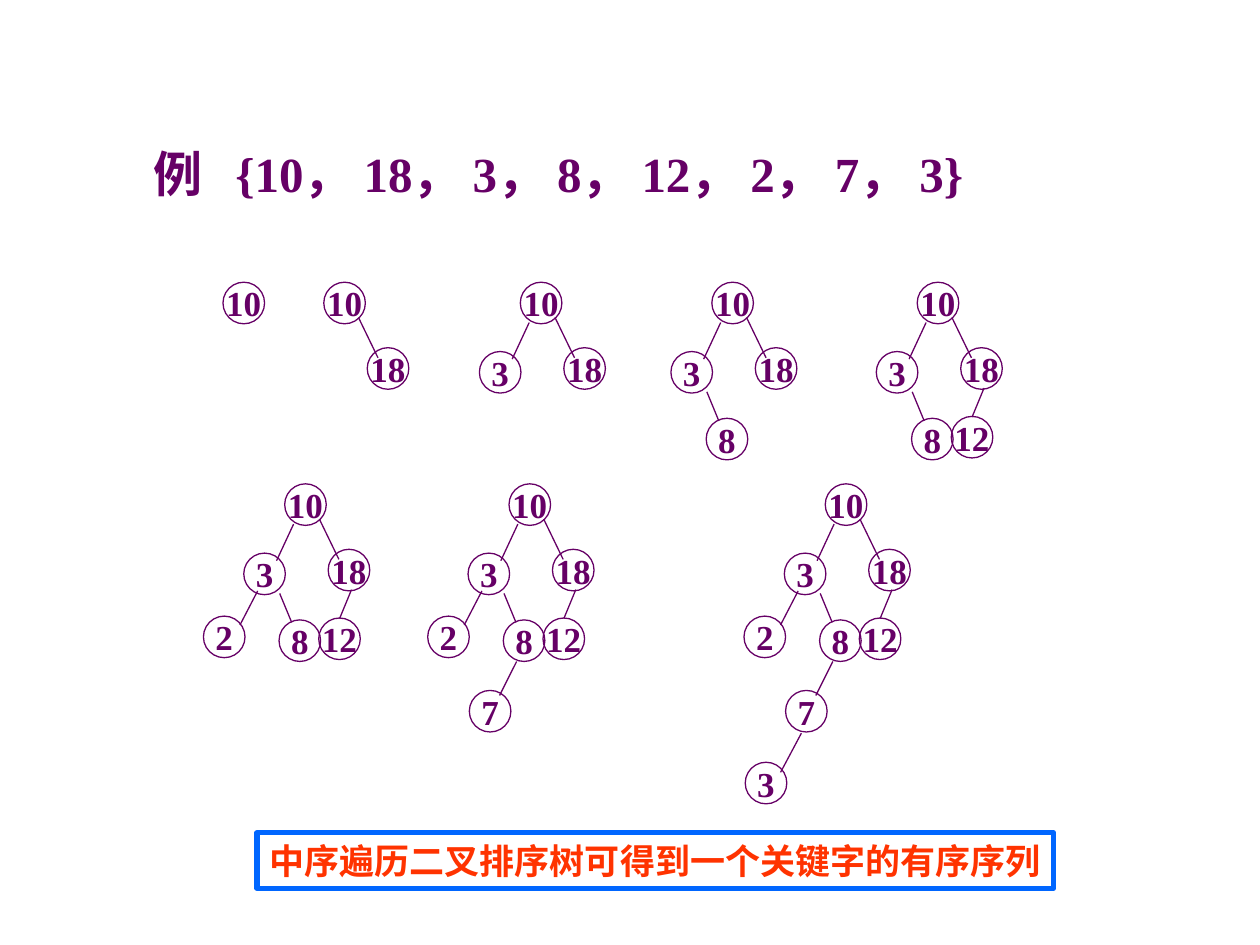
from dataclasses import dataclass

from lxml import etree
from pptx import Presentation
from pptx.dml.color import RGBColor
from pptx.enum.shapes import MSO_CONNECTOR, MSO_SHAPE
from pptx.enum.text import MSO_ANCHOR, MSO_AUTO_SIZE, PP_ALIGN
from pptx.oxml.ns import qn
from pptx.util import Emu, Inches, Pt

ELLIPSE = MSO_SHAPE.OVAL
RECTANGLE = MSO_SHAPE.RECTANGLE
STRAIGHT = MSO_CONNECTOR.STRAIGHT
MIDDLE = MSO_ANCHOR.MIDDLE
FIT_TEXT = MSO_AUTO_SIZE.SHAPE_TO_FIT_TEXT
LEFT, CENTER = PP_ALIGN.LEFT, PP_ALIGN.CENTER

FONT = "Times New Roman"
COLORS = {"purple": "660066", "blue": "0066FF", "red": "FF3300"}
WIDTH, HEIGHT = Inches(10), Inches(7.5)
COLUMNS = 100
CELL = WIDTH / COLUMNS
NODE_SIZE = 3.3


@dataclass(frozen=True)
class Point:
    column: float
    row: float

    def shifted(self, origin: "Point") -> "Point":
        return Point(self.column + origin.column, self.row + origin.row)


@dataclass(frozen=True)
class Edge:
    start: Point
    end: Point


@dataclass(frozen=True)
class Node:
    key: str
    offset: Point
    edge: Edge | None = None


INSERTIONS = [
    Node("10", Point(0, 0)),
    Node("18", Point(3.45, 5.2), Edge(Point(2.75, 2.8), Point(4.3, 6))),
    Node("3", Point(-3.25, 5.5), Edge(Point(0.7, 3.2), Point(-0.65, 6.1))),
    Node("8", Point(-0.45, 10.8), Edge(Point(-0.4, 8.7), Point(0.55, 11))),
    Node("12", Point(2.7, 10.65), Edge(Point(5.3, 8.4), Point(4.35, 10.7))),
    Node("2", Point(-6.45, 10.5), Edge(Point(-2.15, 8.5), Point(-3.55, 11.2))),
    Node("7", Point(-3.15, 16.4), Edge(Point(0.6, 14.1), Point(-0.75, 16.8))),
    Node("3", Point(-6.35, 22.1), Edge(Point(-1.9, 19.8), Point(-3.55, 22.9))),
]
TOP_ROW, BOTTOM_ROW = 22.4, 38.4
ROOTS = [
    *(Point(column, TOP_ROW) for column in (17.7, 25.7, 41.3, 56.5, 72.8)),
    *(Point(column, BOTTOM_ROW) for column in (22.6, 40.4, 65.5)),
]


def grid(cells: float) -> Emu:
    return Emu(round(cells * CELL))


def color(name: str) -> RGBColor:
    return RGBColor.from_string(COLORS[name])


def write_text(shape, text: str, size: int, color_name: str, alignment,
               tab: float | None = None) -> None:
    frame = shape.text_frame
    frame.text = text
    frame.word_wrap = False
    frame.vertical_anchor = MIDDLE
    paragraph = frame.paragraphs[0]
    paragraph.alignment = alignment
    if tab is not None:
        tab_list = etree.SubElement(paragraph._p.get_or_add_pPr(), qn("a:tabLst"))
        etree.SubElement(tab_list, qn("a:tab"), pos=str(grid(tab)), algn="l")
    for run in paragraph.runs:
        run.font.name = FONT
        run.font.size = Pt(size)
        run.font.bold = True
        run.font.color.rgb = color(color_name)


def draw_outline(shapes, kind, place: Point, width: float, height: float,
                 color_name: str, weight: float):
    shape = shapes.add_shape(kind, grid(place.column), grid(place.row),
                             grid(width), grid(height))
    shape.shadow.inherit = False
    shape.fill.background()
    shape.line.color.rgb = color(color_name)
    shape.line.width = Pt(weight)
    return shape


def draw_edge(shapes, edge: Edge, root: Point) -> None:
    start, end = edge.start.shifted(root), edge.end.shifted(root)
    connector = shapes.add_connector(STRAIGHT, grid(start.column), grid(start.row),
                                     grid(end.column), grid(end.row))
    connector.line.color.rgb = color("purple")
    connector.line.width = Pt(0.75)
    etree.SubElement(connector._element.spPr, qn("a:effectLst"))


def draw_tree(slide, root: Point, nodes: list[Node]) -> None:
    shapes = slide.shapes.add_group_shape().shapes
    for node in nodes:
        circle = draw_outline(shapes, ELLIPSE, node.offset.shifted(root),
                              NODE_SIZE, NODE_SIZE, "purple", 0.75)
        write_text(circle, node.key, 20, "purple", CENTER)
        if node.edge:
            draw_edge(shapes, node.edge, root)


def main() -> None:
    presentation = Presentation()
    presentation.slide_width, presentation.slide_height = WIDTH, HEIGHT
    slide = presentation.slides.add_slide(presentation.slide_layouts[6])

    title = slide.shapes.add_textbox(grid(11.2), grid(10.9), grid(79.4), grid(5.7))
    write_text(title, "例\t{10， 18， 3， 8， 12， 2， 7， 3}", 28, "purple", LEFT, 6.5)
    title.text_frame.auto_size = FIT_TEXT

    for count, root in enumerate(ROOTS, start=1):
        draw_tree(slide, root, INSERTIONS[:count])

    conclusion = draw_outline(slide.shapes, RECTANGLE, Point(20.4, 66.1),
                              63.2, 4.4, "blue", 3)
    write_text(conclusion, "中序遍历二叉排序树可得到一个关键字的有序序列",
               20, "red", CENTER)
    conclusion.text_frame.auto_size = FIT_TEXT

    presentation.save("out.pptx")


if __name__ == "__main__":
    main()
